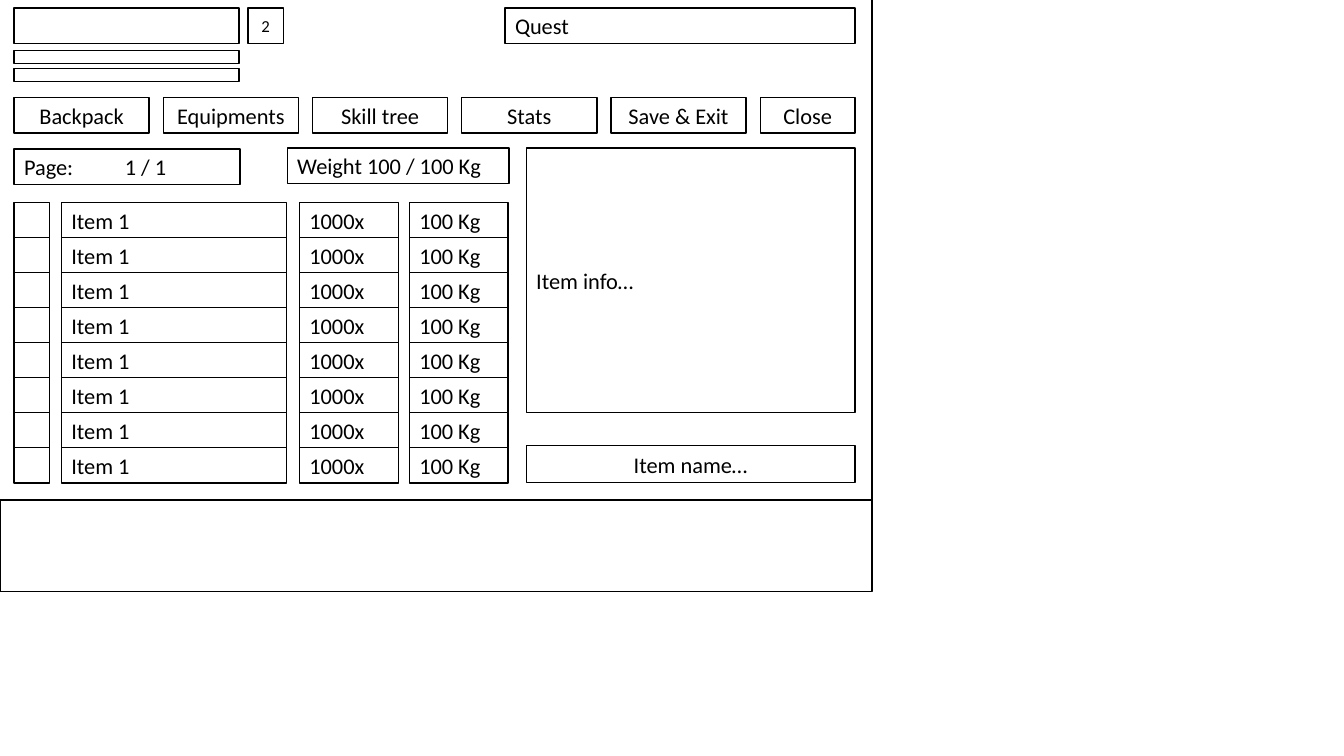
from pptx import Presentation
from pptx.dml.color import RGBColor
from pptx.enum.shapes import MSO_CONNECTOR as Connector, MSO_SHAPE as Shape
from pptx.enum.text import MSO_ANCHOR as Anchor, PP_ALIGN as Align
from pptx.oxml.ns import qn
from pptx.util import Inches, Pt
from lxml.etree import SubElement

BLACK = RGBColor(0x00, 0x00, 0x00)
WHITE = RGBColor(0xFF, 0xFF, 0xFF)


class Wireframe:
    font_name = "Calibri"
    line_width = Pt(1)

    def __init__(self, slide):
        self.slide = slide

    def box(self, left, top, width, height, text="", align=Align.LEFT, size=16):
        shape = self.slide.shapes.add_shape(
            Shape.RECTANGLE, Inches(left), Inches(top), Inches(width), Inches(height))
        shape.shadow.inherit = False
        shape.fill.solid()
        shape.fill.fore_color.rgb = WHITE
        shape.line.color.rgb = BLACK
        shape.line.width = self.line_width
        if text:
            frame = shape.text_frame
            frame.vertical_anchor = Anchor.MIDDLE
            paragraph = frame.paragraphs[0]
            paragraph.text = text
            paragraph.alignment = align
            paragraph.font.name = self.font_name
            paragraph.font.size = Pt(size)
            paragraph.font.color.rgb = BLACK

    def line(self, x1, y1, x2, y2):
        connector = self.slide.shapes.add_connector(
            Connector.STRAIGHT, Inches(x1), Inches(y1), Inches(x2), Inches(y2))
        connector.line.color.rgb = BLACK
        connector.line.width = self.line_width
        SubElement(connector._element.spPr, qn("a:effectLst"))


presentation = Presentation()
presentation.slide_width = Inches(13.33)
presentation.slide_height = Inches(7.5)
screen = Wireframe(presentation.slides.add_slide(presentation.slide_layouts[6]))

MARGIN = 0.14
ROW_HEIGHT = 0.35
NAME_WIDTH = 2.23

screen.box(MARGIN, 0.08, NAME_WIDTH, ROW_HEIGHT)
screen.box(2.46, 0.08, 0.35, ROW_HEIGHT, "2", Align.CENTER, 12)
for bar_top in (0.5, 0.68):
    screen.box(MARGIN, bar_top, NAME_WIDTH, 0.13)
screen.box(5.01, 0.08, 3.47, ROW_HEIGHT, "Quest")

BUTTON_WIDTH = 1.34
BUTTON_GAP = 0.14
buttons = ("Backpack", "Equipments", "Skill tree", "Stats", "Save & Exit", "Close")
for index, label in enumerate(buttons):
    width = 0.94 if label == "Close" else BUTTON_WIDTH
    left = MARGIN + index * (BUTTON_WIDTH + BUTTON_GAP)
    screen.box(left, 0.97, width, ROW_HEIGHT, label, Align.CENTER)

screen.box(2.85, 1.47, 2.2, ROW_HEIGHT, "Weight 100 / 100 Kg")

ITEM_COUNT = 8
FIRST_ITEM_TOP, LAST_ITEM_TOP = 2.01, 4.44
item_pitch = (LAST_ITEM_TOP - FIRST_ITEM_TOP) / (ITEM_COUNT - 1)
item_columns = (
    (MARGIN, 0.35, ""),
    (0.61, NAME_WIDTH, "Item 1"),
    (2.97, 0.98, "1000x"),
    (4.06, 0.98, "100 Kg"),
)
for item in range(ITEM_COUNT):
    for left, width, text in item_columns:
        screen.box(left, FIRST_ITEM_TOP + item * item_pitch, width, ROW_HEIGHT, text)

screen.box(MARGIN, 1.48, 2.24, ROW_HEIGHT, "Page: \t1 / 1")
screen.box(5.22, 1.47, 3.26, 2.62, "Item info…")
screen.box(5.22, 4.42, 3.26, 0.37, "Item name…", Align.CENTER)

SCREEN_WIDTH = 8.65
screen.box(0, 4.96, SCREEN_WIDTH, 0.91)
screen.line(SCREEN_WIDTH, 5.41, SCREEN_WIDTH, 0)

presentation.save("out.pptx")
